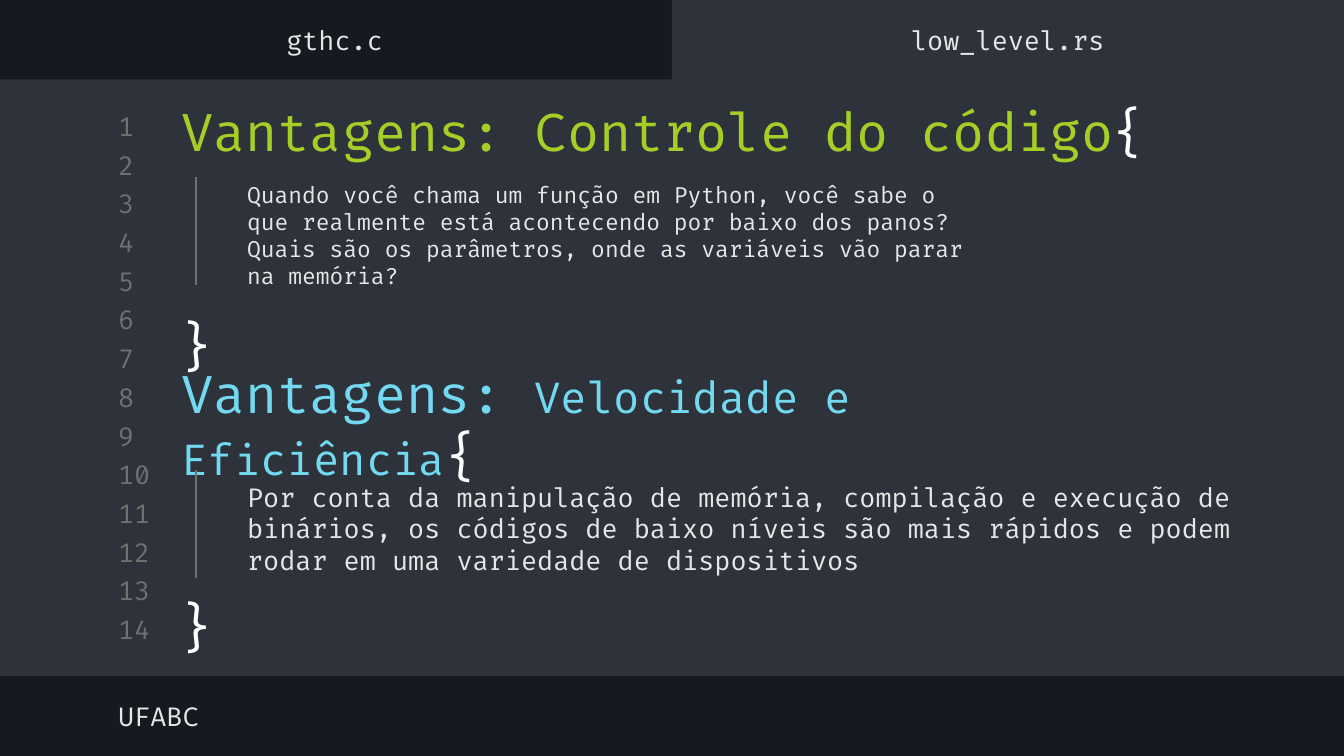
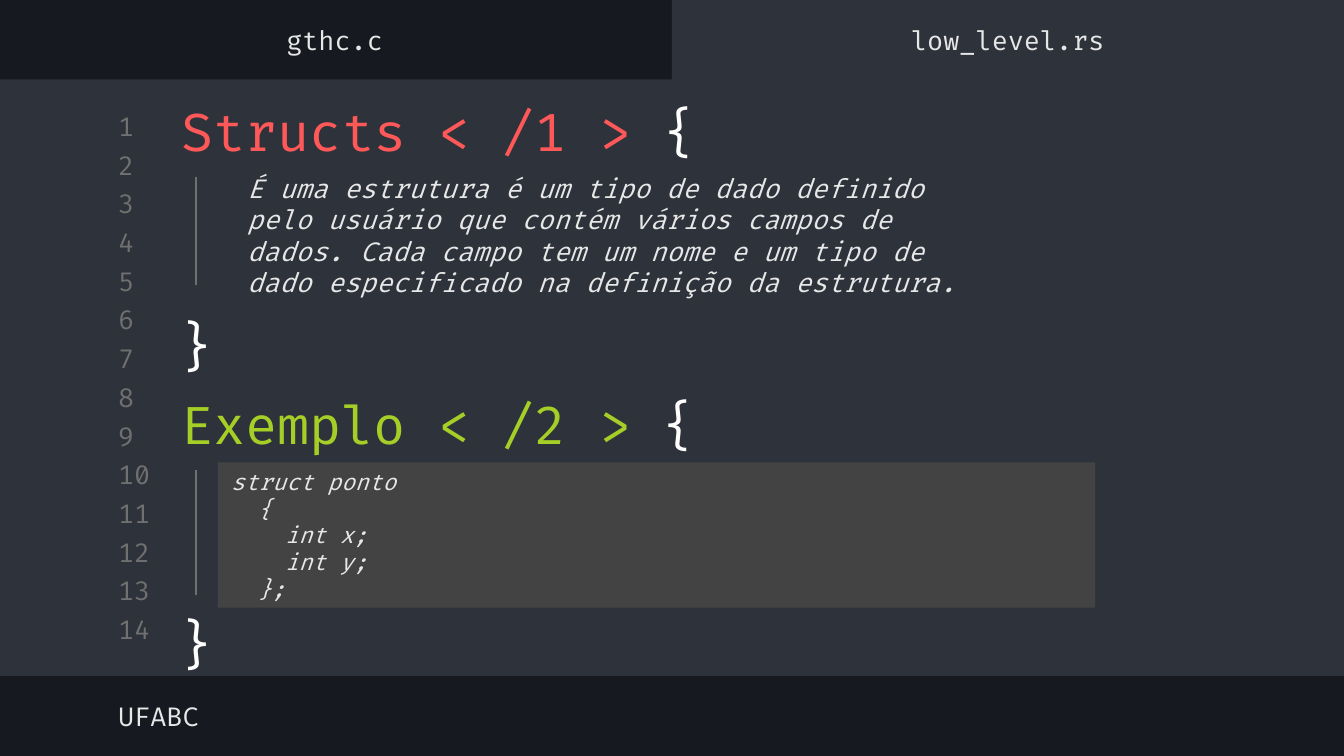
from dataclasses import dataclass

from lxml.etree import SubElement
from pptx import Presentation
from pptx.dml.color import RGBColor
from pptx.enum.shapes import MSO_CONNECTOR as CONN, MSO_SHAPE as SHAPE, PP_PLACEHOLDER as PH
from pptx.enum.text import MSO_ANCHOR as ANCHOR, MSO_AUTO_SIZE as AUTO, PP_ALIGN as ALIGN
from pptx.oxml.ns import qn
from pptx.util import Pt


@dataclass(frozen=True)
class Theme:
    font: str = "Fira Code"
    dark: str = "16191F"
    panel: str = "2E323B"
    code: str = "434343"
    muted: str = "707070"
    text: str = "E7E7E7"
    white: str = "FFFFFF"
    green: str = "A5CF27"
    blue: str = "72D9F0"
    red: str = "FF5858"
    heading: int = 28
    subheading: int = 23
    body: int = 14
    small: int = 12


T = Theme()
WIDTH, HEIGHT = 720, 405
INSET = 7.2
PANELS = [(0, 42.5, 720, 319.7), (360, 0, 360, 46.8)]
LINE_COUNT, LINE_PITCH = 14, 20.74
LABELS = [
    ("gthc.c", (-0.7, 7.2, 360, 28), ALIGN.CENTER),
    ("low_level.rs", (360, 7.2, 360, 28), ALIGN.CENTER),
    ("UFABC", (56.2, 369.4, 383, 28), ALIGN.LEFT),
]
HEADING_TOP, BODY_TOP, SECTION_PITCH = 49, 95, 157
HEADING_LEFT, BODY_LEFT, RULE_X = 90, 125.3, 105.1
BODY_HEIGHT = 62
CODE_BOX = (116.7, 247.7, 470, 77.8)
CODE_INDENT = 14.4

SLIDES = [
    {
        "heading_width": 538,
        "sections": [
            {
                "heading": [("Vantagens: Controle do código", T.heading, T.green)],
                "body": "Quando você chama um função em Python, você sabe o que realmente "
                        "está acontecendo por baixo dos panos?\nQuais são os parâmetros, "
                        "onde as variáveis vão parar na memória?",
                "body_width": 404.6, "size": T.small, "italic": False,
                "rule": 57.6, "brace": 160.6,
            },
            {
                "heading": [("Vantagens: ", T.heading, T.blue),
                            ("Velocidade e Eficiência", T.subheading, T.blue)],
                "body": "Por conta da manipulação de memória, compilação e execução de "
                        "binários, os códigos de baixo níveis são mais rápidos e podem "
                        "rodar em uma variedade de dispositivos",
                "body_width": 549.4, "size": T.body, "italic": False,
                "rule": 57.6, "brace": 311,
            },
        ],
    },
    {
        "heading_width": 319.7,
        "sections": [
            {
                "heading": [("Structs < /1 > ", T.heading, T.red)],
                "body": "É uma estrutura é um tipo de dado definido pelo usuário que contém "
                        "vários campos de dados. Cada campo tem um nome e um tipo de dado "
                        "especificado na definição da estrutura.",
                "body_width": 404.6, "size": T.body, "italic": True,
                "rule": 57.6, "brace": 160.6,
            },
            {
                "heading": [("Exemplo < /2 > ", T.heading, T.green)],
                "code": [(0, "struct ponto"), (1, "{"), (2, "int x;"), (2, "int y;"), (1, "};")],
                "rule": 67, "brace": 320.4,
            },
        ],
    },
]


def rgb(color):
    return RGBColor.from_string(color)


def points(box):
    return [Pt(v) for v in box]


def set_font(font, size, color, italic=False):
    font.name = T.font
    font.size = Pt(size)
    font.color.rgb = rgb(color)
    font.italic = italic


def prepare_frame(sp, anchor=ANCHOR.MIDDLE):
    tf = sp.text_frame
    tf.word_wrap = True
    tf.auto_size = AUTO.NONE
    tf.vertical_anchor = anchor
    tf.margin_left = tf.margin_right = tf.margin_top = tf.margin_bottom = Pt(INSET)
    return tf


def add_text(shapes, text, box, size=T.body, color=T.text, align=ALIGN.LEFT,
             anchor=ANCHOR.MIDDLE, italic=False):
    p = prepare_frame(shapes.add_textbox(*points(box)), anchor).paragraphs[0]
    p.text = text
    p.alignment = align
    set_font(p.font, size, color, italic)


def add_rect(shapes, box, color):
    sp = shapes.add_shape(SHAPE.RECTANGLE, *points(box))
    sp.shadow.inherit = False
    sp.fill.solid()
    sp.fill.fore_color.rgb = rgb(color)
    sp.line.fill.background()
    return sp


def fill_heading(sp, spans):
    p = prepare_frame(sp).paragraphs[0]
    p.alignment = ALIGN.LEFT
    for text, size, color in spans + [("{", T.heading, T.white)]:
        r = p.add_run()
        r.text = text
        set_font(r.font, size, color)


def add_code(shapes, lines):
    tf = prepare_frame(add_rect(shapes, CODE_BOX, T.code))
    for i, (level, text) in enumerate(lines):
        p = tf.add_paragraph() if i else tf.paragraphs[0]
        p.text = text
        p.alignment = ALIGN.LEFT
        set_font(p.font, T.small, T.text, True)
        p._p.get_or_add_pPr().set("marL", str(Pt(level * CODE_INDENT)))


def add_closing(shapes, top, rule, brace):
    group = shapes.add_group_shape().shapes
    line = group.add_connector(CONN.STRAIGHT, *points((RULE_X, top, RULE_X, top + rule)))
    line.line.color.rgb = rgb(T.muted)
    line.line.width = Pt(0.75)
    SubElement(line._element.spPr, qn("a:effectLst"))
    add_text(group, "}", (85.7, brace, 39.6, 48), T.heading, T.white, ALIGN.CENTER, ANCHOR.TOP)


def build_layout(layout, s):
    layout.background.fill.solid()
    layout.background.fill.fore_color.rgb = rgb(T.dark)
    tree = layout.shapes._spTree
    for sp in list(layout.placeholders):
        if sp.placeholder_format.type != PH.TITLE:
            tree.remove(sp._element)
    for box in PANELS:
        add_rect(s.shapes, box, T.panel)
    for i in range(LINE_COUNT):
        add_text(s.shapes, str(i + 1), (56.2, 58.8 + i * LINE_PITCH, 33.8, 17.3), color=T.muted)
    for sp in list(s.shapes):
        if not sp.is_placeholder:
            tree.append(sp._element)


def build_slide(s, content):
    for i, section in enumerate(content["sections"]):
        shift = i * SECTION_PITCH
        top = BODY_TOP + shift
        box = points((HEADING_LEFT, HEADING_TOP + shift, content["heading_width"], 41.8))
        if i == 0:
            sp = s.shapes.title
            sp.left, sp.top, sp.width, sp.height = box
        else:
            sp = s.shapes.add_textbox(*box)
        fill_heading(sp, section["heading"])
        if "code" in section:
            add_code(s.shapes, section["code"])
        else:
            add_text(s.shapes, section["body"], (BODY_LEFT, top, section["body_width"], BODY_HEIGHT),
                     section["size"], italic=section["italic"])
        add_closing(s.shapes, top, section["rule"], section["brace"])
    for text, box, align in LABELS:
        add_text(s.shapes, text, box, align=align)


def main():
    prs = Presentation()
    prs.slide_width, prs.slide_height = Pt(WIDTH), Pt(HEIGHT)
    layout = prs.slide_layouts[5]
    for i, content in enumerate(SLIDES):
        s = prs.slides.add_slide(layout)
        if i == 0:
            build_layout(layout, s)
        build_slide(s, content)
    prs.save("out.pptx")


if __name__ == "__main__":
    main()
